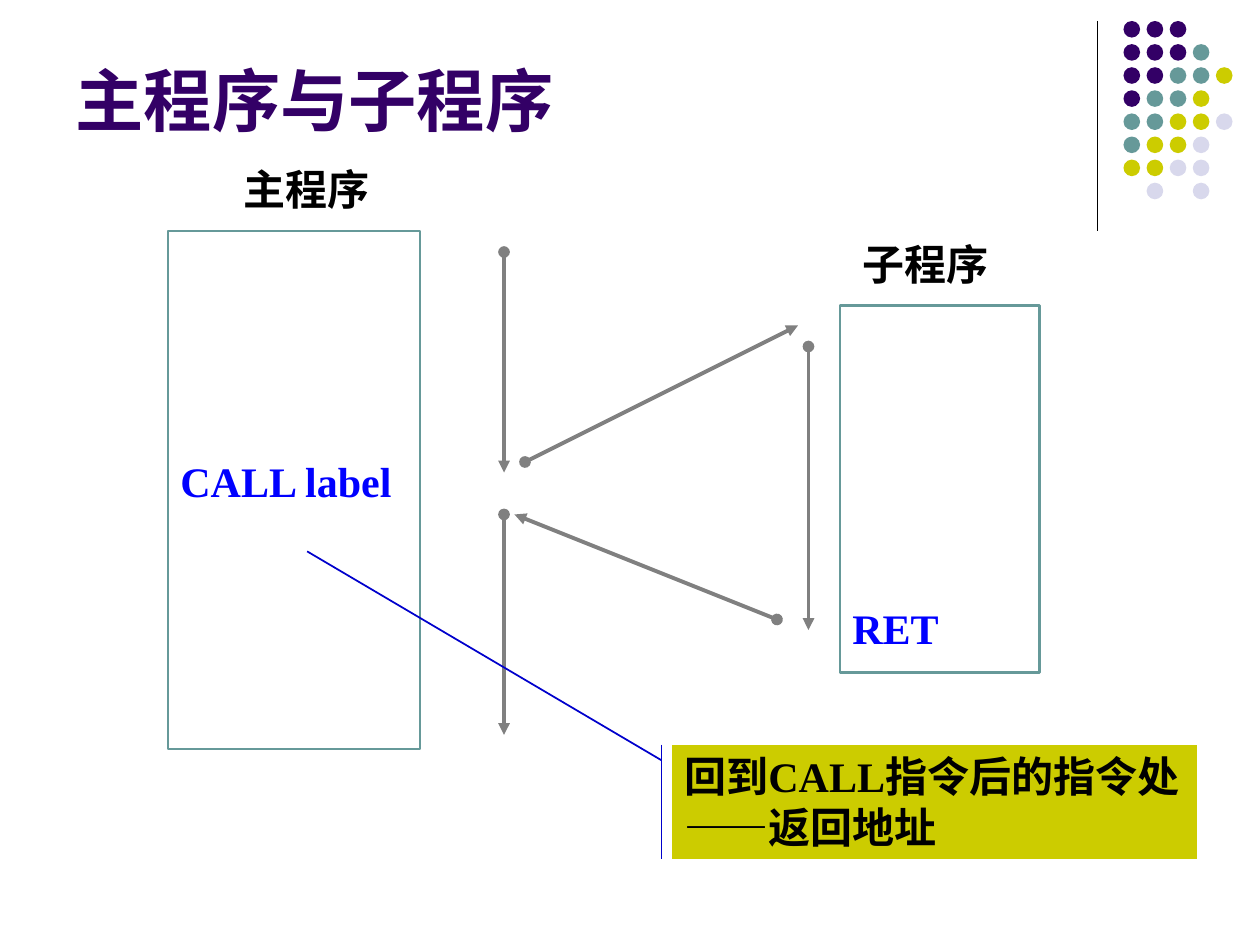
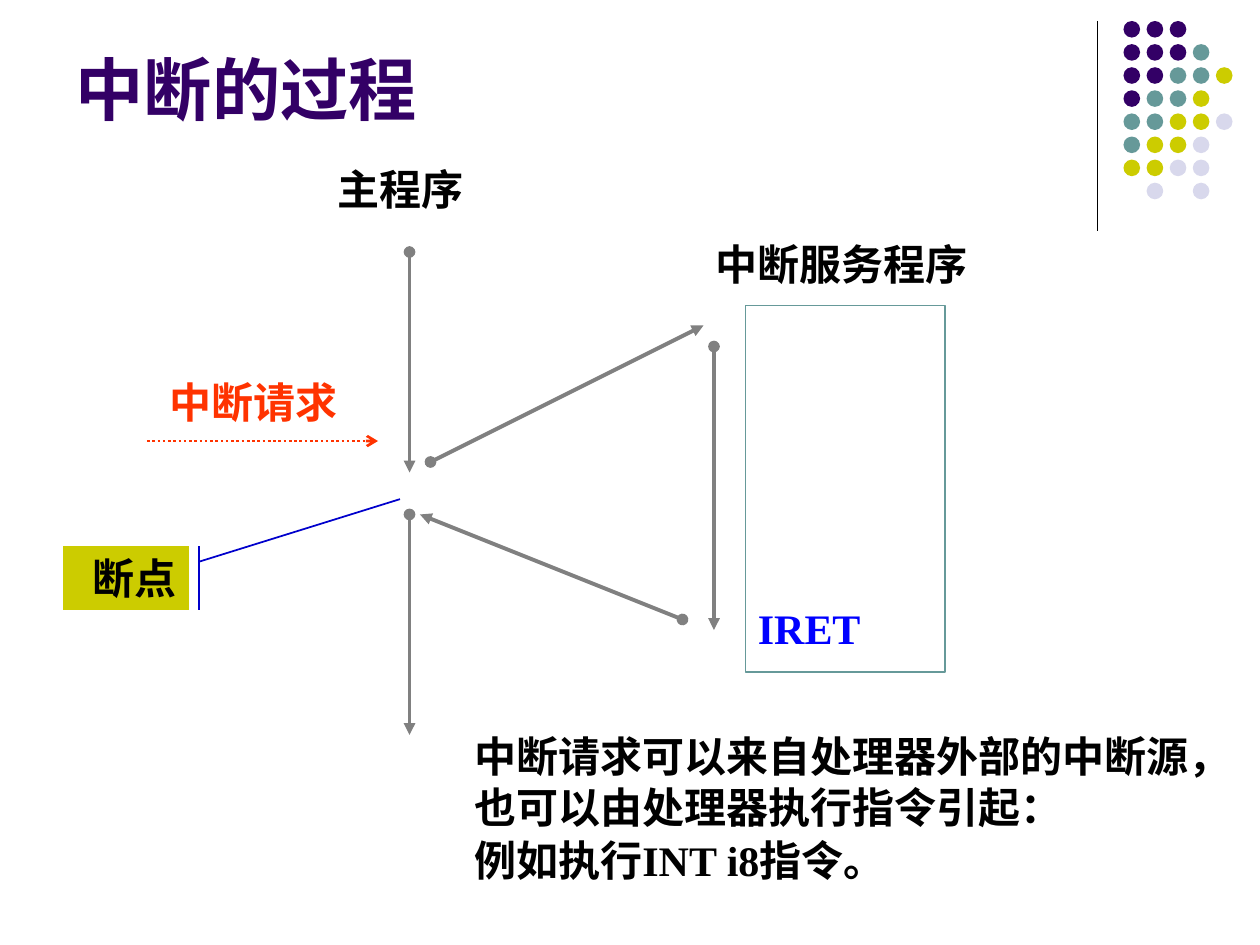
from dataclasses import dataclass

import lxml.etree
import pptx
import pptx.dml.color
import pptx.enum.dml
import pptx.enum.shapes
import pptx.enum.text
import pptx.oxml.ns
import pptx.shapes.autoshape
import pptx.shapes.connector
import pptx.slide
import pptx.text.text
import pptx.util

Pt = pptx.util.Pt
PURPLE, TEAL, OLIVE, LILAC = "330066", "669999", "CCCC00", "D8D8EC"
BLACK, GRAY, BLUE, NAVY, ORANGE = "000000", "808080", "0000FF", "0000CC", "FF3300"
TITLE_FONT, BODY_FONT = "Arial", "Times New Roman"
DOT_COLORS = {"P": PURPLE, "T": TEAL, "O": OLIVE, "L": LILAC}
DOT_ROWS = ["PPP", "PPPT", "PPTTO", "PTTO", "TTOOL", "TOOL", "OOLL", " L L"]
DOT_LEFT, DOT_TOP, DOT_PITCH, DOT_SIZE = 642, 12, 13.2, 9.5
LEFT = pptx.enum.text.PP_ALIGN.LEFT
RIGHT = pptx.enum.text.PP_ALIGN.RIGHT


@dataclass(frozen=True)
class Box:
    left: float
    top: float
    width: float
    height: float


@dataclass(frozen=True)
class Arrow:
    begin_x: float
    begin_y: float
    end_x: float
    end_y: float
    color: str = GRAY
    width: float = 2.25
    head: str = "oval"
    tail: str = "triangle"
    dotted: bool = False


@dataclass(frozen=True)
class Label:
    box: Box
    text: str
    color: str = BLACK


@dataclass(frozen=True)
class Routine:
    box: Box
    instruction: str
    inset: float
    line_width: float = 1.5


@dataclass(frozen=True)
class Callout:
    box: Box
    text: str
    adjustments: tuple[float, ...]
    alignment: pptx.enum.text.PP_ALIGN = LEFT


FLOW = [
    Arrow(288, 144, 288, 270),
    Arrow(288, 294, 288, 420),
    Arrow(462, 198, 462, 360),
    Arrow(300, 264, 456, 186),
    Arrow(444, 354, 294, 294),
]


def rgb(color: str) -> pptx.dml.color.RGBColor:
    return pptx.dml.color.RGBColor.from_string(color)


def points(box: Box) -> list[pptx.util.Length]:
    return [Pt(value) for value in (box.left, box.top, box.width, box.height)]


def add_run(
    paragraph: pptx.text.text._Paragraph,
    text: str,
    color: str = BLACK,
    size: float = 24,
    font: str = BODY_FONT,
) -> None:
    run = paragraph.add_run()
    run.text = text
    run.font.name = font
    run.font.size = Pt(size)
    run.font.bold = True
    run.font.color.rgb = rgb(color)


def prepare_frame(
    frame: pptx.text.text.TextFrame,
    anchor: pptx.enum.text.MSO_ANCHOR = pptx.enum.text.MSO_ANCHOR.TOP,
) -> pptx.text.text._Paragraph:
    frame.word_wrap = True
    frame.auto_size = pptx.enum.text.MSO_AUTO_SIZE.NONE
    frame.vertical_anchor = anchor
    paragraph = frame.paragraphs[0]
    paragraph.alignment = LEFT
    return paragraph


def add_line(slide: pptx.slide.Slide, arrow: Arrow) -> None:
    ends = (arrow.begin_x, arrow.begin_y, arrow.end_x, arrow.end_y)
    connector = slide.shapes.add_connector(
        pptx.enum.shapes.MSO_CONNECTOR.STRAIGHT, *(Pt(value) for value in ends)
    )
    connector.line.color.rgb = rgb(arrow.color)
    connector.line.width = Pt(arrow.width)
    if arrow.dotted:
        connector.line.dash_style = pptx.enum.dml.MSO_LINE.ROUND_DOT
    qualified = pptx.oxml.ns.qn
    properties = connector._element.spPr
    line = properties.find(qualified("a:ln"))
    for tag, kind in (("a:headEnd", arrow.head), ("a:tailEnd", arrow.tail)):
        lxml.etree.SubElement(line, qualified(tag), type=kind)
    lxml.etree.SubElement(properties, qualified("a:effectLst"))


def add_dots(slide: pptx.slide.Slide) -> None:
    group = slide.shapes.add_group_shape()
    for row, pattern in enumerate(DOT_ROWS):
        for column, key in enumerate(pattern):
            if key not in DOT_COLORS:
                continue
            box = Box(
                DOT_LEFT + column * DOT_PITCH,
                DOT_TOP + row * DOT_PITCH,
                DOT_SIZE,
                DOT_SIZE,
            )
            dot = group.shapes.add_shape(
                pptx.enum.shapes.MSO_SHAPE.OVAL, *points(box)
            )
            dot.shadow.inherit = False
            dot.fill.solid()
            dot.fill.fore_color.rgb = rgb(DOT_COLORS[key])
            dot.line.fill.background()


def add_slide(
    presentation: pptx.presentation.Presentation, title: str, box: Box
) -> pptx.slide.Slide:
    slide = presentation.slides.add_slide(presentation.slide_layouts[5])
    add_line(slide, Arrow(627, 12, 627, 132, BLACK, 0.75, "none", "none"))
    add_dots(slide)
    placeholder = slide.shapes.title
    placeholder.left, placeholder.top, placeholder.width, placeholder.height = points(box)
    paragraph = prepare_frame(
        placeholder.text_frame, pptx.enum.text.MSO_ANCHOR.BOTTOM
    )
    add_run(paragraph, title, PURPLE, 39, TITLE_FONT)
    return slide


def add_label(
    slide: pptx.slide.Slide, label: Label
) -> pptx.text.text.TextFrame:
    frame = slide.shapes.add_textbox(*points(label.box)).text_frame
    add_run(prepare_frame(frame), label.text, label.color)
    return frame


def add_routine(slide: pptx.slide.Slide, routine: Routine) -> None:
    shape = slide.shapes.add_shape(
        pptx.enum.shapes.MSO_SHAPE.RECTANGLE, *points(routine.box)
    )
    shape.shadow.inherit = False
    shape.fill.background()
    shape.line.color.rgb = rgb(TEAL)
    shape.line.width = Pt(routine.line_width)
    paragraph = prepare_frame(shape.text_frame)
    shape.text_frame.margin_top = Pt(routine.inset)
    add_run(paragraph, routine.instruction, BLUE)


def add_callout(slide: pptx.slide.Slide, callout: Callout) -> None:
    shape = slide.shapes.add_shape(
        pptx.enum.shapes.MSO_SHAPE.LINE_CALLOUT_1_ACCENT_BAR, *points(callout.box)
    )
    for index, value in enumerate(callout.adjustments):
        shape.adjustments[index] = value
    shape.shadow.inherit = False
    shape.fill.solid()
    shape.fill.fore_color.rgb = rgb(OLIVE)
    shape.line.color.rgb = rgb(NAVY)
    shape.line.width = Pt(1)
    paragraph = prepare_frame(shape.text_frame)
    paragraph.alignment = callout.alignment
    add_run(paragraph, callout.text)


def add_flow(slide: pptx.slide.Slide, shift: float = 0) -> None:
    for arrow in FLOW:
        add_line(
            slide,
            Arrow(arrow.begin_x + shift, arrow.begin_y, arrow.end_x + shift, arrow.end_y),
        )


def build_subroutine_slide(presentation: pptx.presentation.Presentation) -> None:
    slide = add_slide(presentation, "主程序与子程序", Box(36, 9.5, 420, 74))
    add_routine(slide, Routine(Box(96, 132, 144, 296), "CALL label", 128.5))
    add_routine(slide, Routine(Box(480, 174.5, 114, 210), "RET", 170))
    add_label(slide, Label(Box(132, 90, 102, 36), "主程序"))
    add_label(slide, Label(Box(486, 132.5, 102, 36), "子程序"))
    add_flow(slide)
    add_callout(
        slide,
        Callout(
            Box(384, 425.5, 300, 65.5),
            "回到CALL指令后的指令处——返回地址",
            (0.137, -0.02, -1.686, -0.695),
        ),
    )


def build_interrupt_slide(presentation: pptx.presentation.Presentation) -> None:
    slide = add_slide(presentation, "中断的过程", Box(36, 9.5, 312, 68))
    add_label(slide, Label(Box(186, 90, 102, 36), "主程序"))
    add_label(slide, Label(Box(402, 132.5, 180, 36), "中断服务程序"))
    add_flow(slide, -54)
    add_routine(slide, Routine(Box(426, 174.5, 114, 209.5), "IRET", 170, 1))
    add_callout(
        slide,
        Callout(
            Box(36, 312, 72, 36.7), "断点", (0.243, 1.083, -0.73, 2.675), RIGHT
        ),
    )
    add_line(slide, Arrow(84, 252, 216, 252, ORANGE, 1.5, "none", "arrow", True))
    add_label(slide, Label(Box(90, 211.7, 126, 36), "中断请求", ORANGE))
    source_note = Label(
        Box(264, 414, 438, 96.5),
        "中断请求可以来自处理器外部的中断源，也可以由处理器执行指令引起：",
    )
    example = add_label(slide, source_note).add_paragraph()
    example.alignment = LEFT
    example.line_spacing = 0.9
    example.space_before = Pt(4.8)
    add_run(example, "例如执行INT i8指令。")


def main() -> None:
    presentation = pptx.Presentation()
    presentation.slide_width = Pt(720)
    presentation.slide_height = Pt(540)
    build_subroutine_slide(presentation)
    build_interrupt_slide(presentation)
    presentation.save("out.pptx")


if __name__ == "__main__":
    main()
